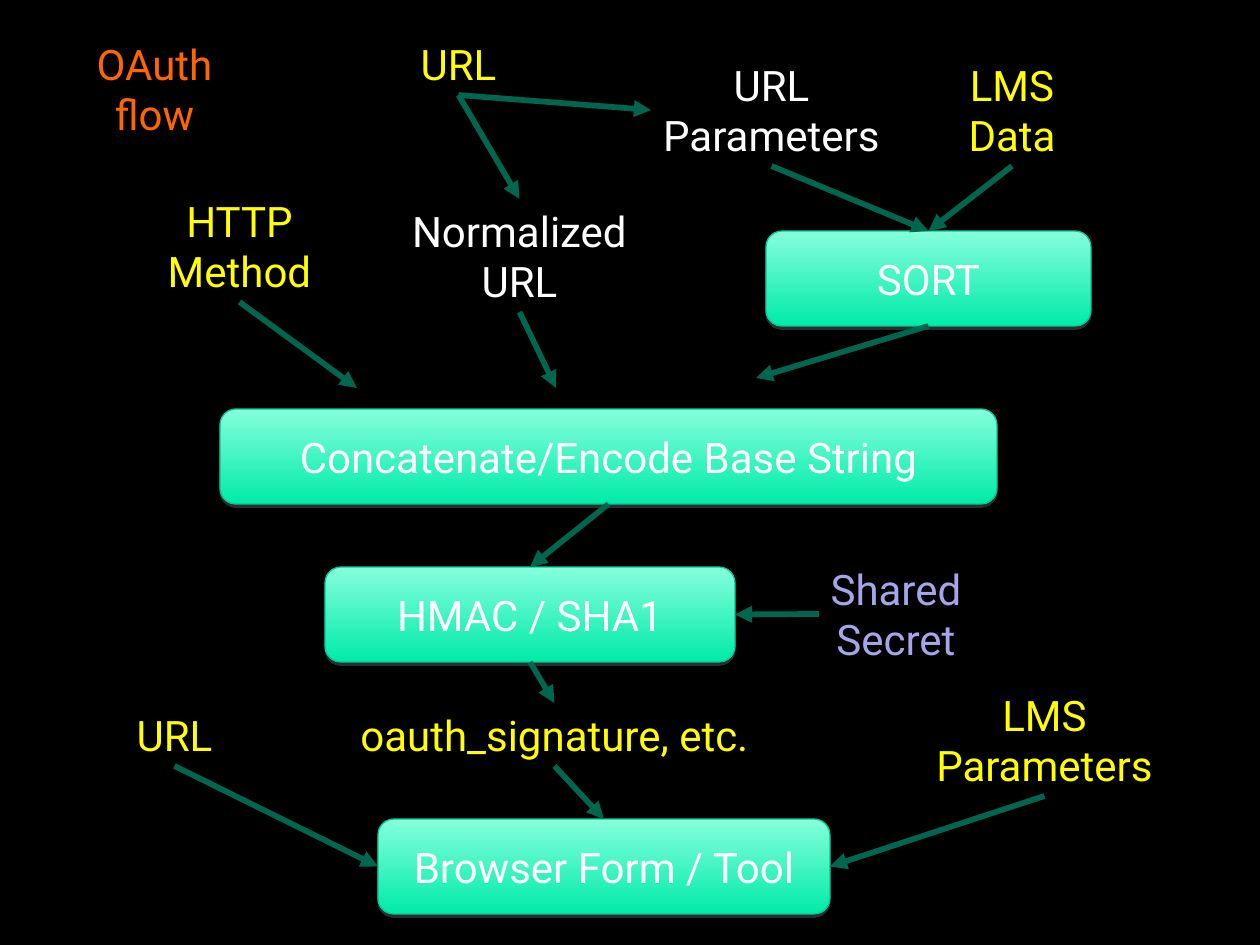
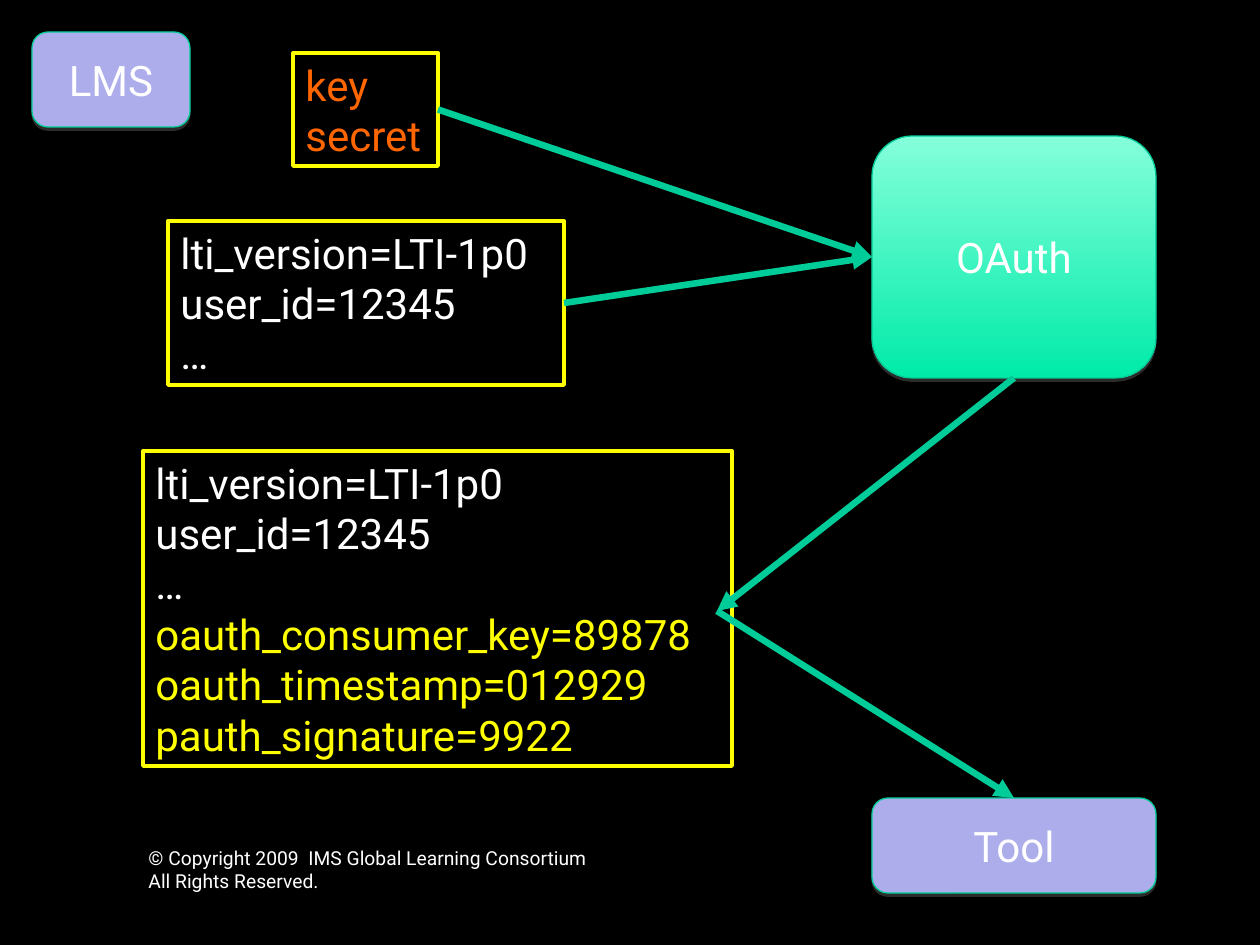
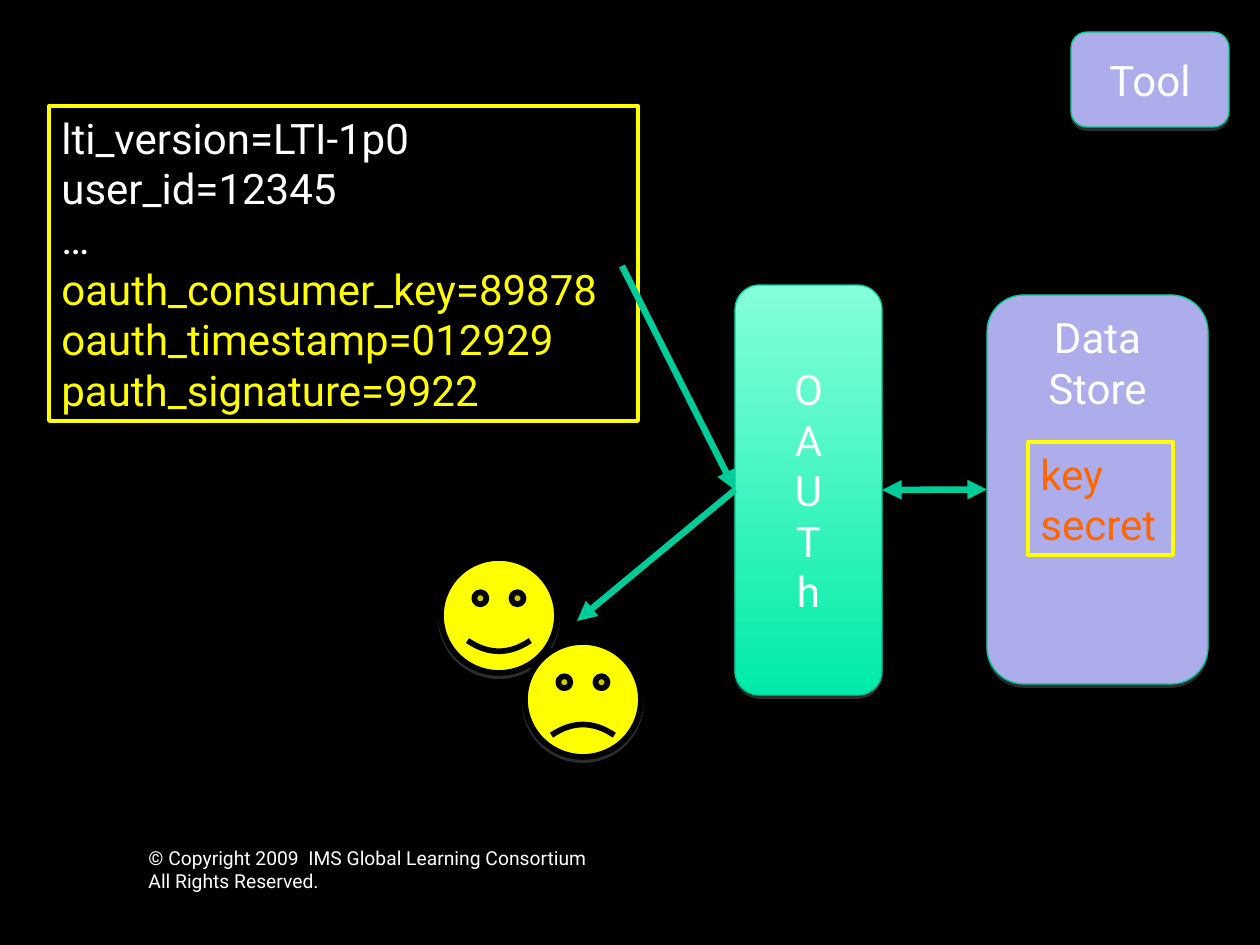
"""Build three slides that explain how OAuth signs and checks a tool launch."""
from dataclasses import dataclass

from lxml import etree
from pptx import Presentation
from pptx.dml.color import RGBColor
from pptx.enum.shapes import MSO_CONNECTOR, MSO_SHAPE
from pptx.enum.text import MSO_ANCHOR, MSO_AUTO_SIZE, PP_ALIGN
from pptx.oxml.ns import qn
from pptx.util import Emu, Pt

ROUNDED = MSO_SHAPE.ROUNDED_RECTANGLE
SMILEY = MSO_SHAPE.SMILEY_FACE
STRAIGHT = MSO_CONNECTOR.STRAIGHT
LEFT_ALIGNED, CENTERED = PP_ALIGN.LEFT, PP_ALIGN.CENTER
AT_TOP, AT_MIDDLE = MSO_ANCHOR.TOP, MSO_ANCHOR.MIDDLE
GROW, FIXED = MSO_AUTO_SIZE.SHAPE_TO_FIT_TEXT, MSO_AUTO_SIZE.NONE
TOP, LEFT, BOTTOM, RIGHT = range(4)
EMU_PER_PX = 914400 / 126


@dataclass(frozen=True)
class Theme:
    font: str = "Roboto"
    body_size: int = 24
    footer_size: int = 11
    black: str = "000000"
    white: str = "FFFFFF"
    yellow: str = "FFFF00"
    orange: str = "FF6600"
    lavender: str = "A5A5E9"
    panel: str = "ADADEB"
    gradient: tuple = ("85FFDB", "00EBA8")
    border: tuple = ("00CC98", 0.75)
    frame: tuple = ("FFFF00", 2.25)
    face_line: tuple = ("000000", 3.25)
    dark_arrow: tuple = ("00664D", 3.25)
    bright_arrow: tuple = ("00CC99", 3.75)
    shadow: str = "808080"


THEME = Theme()


def add_text(slide, text, box, *, shape=None, geometry=None, color=THEME.white,
             size=THEME.body_size, align=CENTERED, anchor=AT_TOP, wrap=False,
             fill=None, line=None, highlight_from=None):
    """Place text in a placeholder, a preset shape or a new text box."""
    left, top, width, height = (Emu(round(px * EMU_PER_PX)) for px in box)
    if geometry:
        shape = slide.shapes.add_shape(geometry, left, top, width, height)
    elif shape is None:
        shape = slide.shapes.add_textbox(left, top, width, height)
    shape.left, shape.top, shape.width, shape.height = left, top, width, height
    if isinstance(fill, tuple):
        shape.fill.gradient()
        shape.fill.gradient_angle = 270
        for stop, stop_color in zip(shape.fill.gradient_stops, fill):
            stop.color.rgb = RGBColor.from_string(stop_color)
    elif fill:
        shape.fill.solid()
        shape.fill.fore_color.rgb = RGBColor.from_string(fill)
    if line:
        shape.line.color.rgb = RGBColor.from_string(line[0])
        shape.line.width = Pt(line[1])
    if geometry:
        shape.shadow.inherit = False
        effects = shape._element.spPr.find(qn("a:effectLst"))
        shadow = etree.SubElement(effects, qn("a:outerShdw"), blurRad="0",
                                  dist=str(Pt(1.8)), dir="5400000", rotWithShape="0")
        tint = etree.SubElement(shadow, qn("a:srgbClr"), val=THEME.shadow)
        etree.SubElement(tint, qn("a:alpha"), val="35000")
    frame = shape.text_frame
    frame.word_wrap = wrap or bool(geometry)
    frame.auto_size = FIXED if geometry else GROW
    frame.vertical_anchor = anchor
    for index, words in enumerate(text.splitlines()):
        paragraph = frame.add_paragraph() if index else frame.paragraphs[0]
        paragraph.alignment = align
        run = paragraph.add_run()
        run.text = words
        run.font.name, run.font.size = THEME.font, Pt(size)
        highlighted = highlight_from is not None and index >= highlight_from
        run.font.color.rgb = RGBColor.from_string(THEME.yellow if highlighted else color)
    return shape


def add_arrow(slide, start, end, style, both_ends=False):
    """Draw an arrow between ends given as (x, y) or as (shape, side)."""
    arrow = slide.shapes.add_connector(STRAIGHT, 0, 0, 0, 0)
    if isinstance(start[0], int):
        arrow.begin_x, arrow.begin_y = (Emu(round(px * EMU_PER_PX)) for px in start)
    else:
        arrow.begin_connect(*start)
    if isinstance(end[0], int):
        arrow.end_x, arrow.end_y = (Emu(round(px * EMU_PER_PX)) for px in end)
    else:
        arrow.end_connect(*end)
    arrow.line.color.rgb = RGBColor.from_string(style[0])
    arrow.line.width = Pt(style[1])
    line = arrow.line._get_or_add_ln()
    for tag in ("a:headEnd", "a:tailEnd") if both_ends else ("a:tailEnd",):
        etree.SubElement(line, qn(tag), type="triangle")
    etree.SubElement(arrow._element.spPr, qn("a:effectLst"))


STEP = dict(geometry=ROUNDED, fill=THEME.gradient, line=THEME.border, anchor=AT_MIDDLE)
SYSTEM = {**STEP, "fill": THEME.panel}
MESSAGE = dict(line=THEME.frame, align=LEFT_ALIGNED)
CREDENTIALS = {**MESSAGE, "color": THEME.orange}
FOOTER = dict(size=THEME.footer_size, align=LEFT_ALIGNED, wrap=True)

CREDENTIALS_TEXT = "key\nsecret"
LAUNCH_TEXT = "lti_version=LTI-1p0\nuser_id=12345\n…"
SIGNED_TEXT = (LAUNCH_TEXT + "\noauth_consumer_key=89878"
               "\noauth_timestamp=012929\npauth_signature=9922")
FOOTER_TEXT = "© Copyright 2009  IMS Global Learning Consortium\nAll Rights Reserved."
FOOTER_BOX = (136, 840, 473, 82)

presentation = Presentation()
presentation.slide_width = Emu(round(1260 * EMU_PER_PX))
presentation.slide_height = Emu(round(945 * EMU_PER_PX))
background = presentation.slide_master.background.fill
background.solid()
background.fore_color.rgb = RGBColor.from_string(THEME.black)
title_layout, blank_layout = presentation.slide_layouts[5], presentation.slide_layouts[6]

flow = presentation.slides.add_slide(title_layout)
add_text(flow, "OAuth\nflow", (79, 32, 151, 113), shape=flow.shapes.title, color=THEME.orange)

labels = {}
for name, text, box, color in [
    ("method", "HTTP\nMethod", (150, 189, 179, 113), THEME.yellow),
    ("normalized", "Normalized\nURL", (393, 199, 253, 113), THEME.white),
    ("url parameters", "URL\nParameters", (644, 53, 255, 113), THEME.white),
    ("data", "LMS\nData", (953, 53, 118, 113), THEME.yellow),
    ("secret", "Shared\nSecret", (814, 557, 164, 113), THEME.lavender),
    ("signature", "oauth_signature, etc.", (334, 703, 441, 63), THEME.yellow),
    ("lms parameters", "LMS\nParameters", (917, 683, 255, 113), THEME.yellow),
    ("request url", "URL", (407, 32, 103, 63), THEME.yellow),
    ("form url", "URL", (123, 703, 103, 63), THEME.yellow),
]:
    labels[name] = add_text(flow, text, box, color=color)

sort, concatenate, digest, form = [
    add_text(flow, text, (left, top, width, 95), **STEP)
    for text, left, top, width in [
        ("SORT", 766, 231, 325),
        ("Concatenate/Encode Base String", 220, 409, 777),
        ("HMAC / SHA1", 325, 567, 410),
        ("Browser Form / Tool", 378, 819, 452),
    ]
]

for start, end in [
    ((labels["url parameters"], BOTTOM), (sort, TOP)),
    ((labels["data"], BOTTOM), (sort, TOP)),
    ((labels["method"], BOTTOM), (357, 388)),
    ((labels["normalized"], BOTTOM), (556, 388)),
    ((sort, BOTTOM), (756, 378)),
    ((concatenate, BOTTOM), (digest, TOP)),
    ((819, 614), (digest, RIGHT)),
    ((labels["request url"], BOTTOM), (labels["normalized"], TOP)),
    ((labels["request url"], BOTTOM), (651, 110)),
    ((digest, BOTTOM), (labels["signature"], TOP)),
    ((labels["signature"], BOTTOM), (form, TOP)),
    ((labels["form url"], BOTTOM), (form, LEFT)),
    ((labels["lms parameters"], BOTTOM), (form, RIGHT)),
]:
    add_arrow(flow, start, end, THEME.dark_arrow)

signing = presentation.slides.add_slide(blank_layout)
signer = add_text(signing, "OAuth", (872, 136, 284, 242), **STEP)
launch = add_text(signing, LAUNCH_TEXT, (168, 221, 396, 164), **MESSAGE)
add_text(signing, SIGNED_TEXT, (143, 451, 589, 315), highlight_from=3, **MESSAGE)
credentials = add_text(signing, CREDENTIALS_TEXT, (293, 53, 145, 113), **CREDENTIALS)
tool = add_text(signing, "Tool", (872, 798, 284, 95), **SYSTEM)
add_text(signing, "LMS", (32, 32, 158, 95), **SYSTEM)
add_text(signing, FOOTER_TEXT, FOOTER_BOX, **FOOTER)
for start, end in [
    ((credentials, RIGHT), (signer, LEFT)),
    ((launch, RIGHT), (signer, LEFT)),
    ((signer, BOTTOM), (717, 611)),
    ((717, 611), (tool, TOP)),
]:
    add_arrow(signing, start, end, THEME.bright_arrow)

checking = presentation.slides.add_slide(blank_layout)
checker = add_text(checking, "O\nA\nU\nT\nh", (735, 285, 147, 410), **STEP)
add_text(checking, SIGNED_TEXT, (49, 106, 589, 315), highlight_from=3, **MESSAGE)
store = add_text(checking, "Data\nStore", (987, 295, 221, 389), **{**SYSTEM, "anchor": AT_TOP})
add_text(checking, "Tool", (1071, 32, 158, 95), **SYSTEM)
add_text(checking, CREDENTIALS_TEXT, (1028, 442, 145, 113), **CREDENTIALS)
add_text(checking, FOOTER_TEXT, FOOTER_BOX, **FOOTER)
add_arrow(checking, (622, 266), (checker, LEFT), THEME.bright_arrow)
add_arrow(checking, (checker, RIGHT), (store, LEFT), THEME.bright_arrow, both_ends=True)
add_arrow(checking, (checker, LEFT), (577, 621), THEME.bright_arrow)
for left, top, smile in [(441, 558, 0.09), (525, 642, -0.05)]:
    face = add_text(checking, "", (left, top, 116, 115), geometry=SMILEY,
                    fill=THEME.yellow, line=THEME.face_line)
    face.adjustments[0] = smile

presentation.save("out.pptx")
